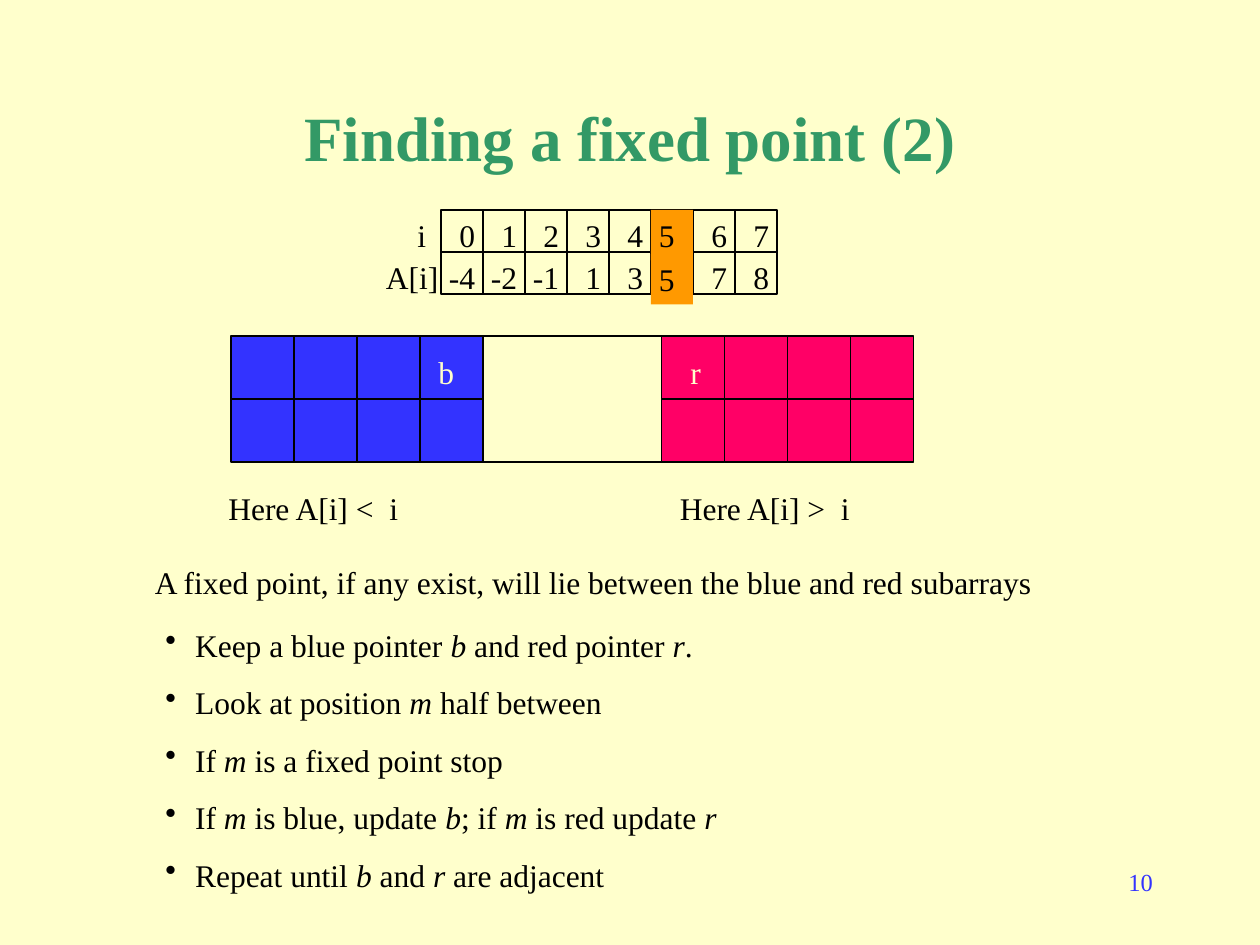
from dataclasses import dataclass

from lxml.etree import SubElement
from pptx import Presentation
from pptx.dml.color import RGBColor
from pptx.enum.shapes import MSO_CONNECTOR, MSO_SHAPE
from pptx.enum.text import MSO_ANCHOR, MSO_AUTO_SIZE, PP_ALIGN
from pptx.oxml.ns import qn
from pptx.util import Pt

FONT = "Times New Roman"
BLACK, CREAM, GREEN = "000000", "FFFFCC", "339966"
BLUE, RED, ORANGE = "3333FF", "FF0066", "FF9900"
LABEL_HEIGHT = 28.8
BULLET_INDENT = 17
BULLET_GAP = 11.25

INDICES = ["0", "1", "2", "3", "4", "5", "6", "7"]
VALUES = ["-4", "-2", "-1", "1", "3", "5", "7", "8"]
FIXED_POINT = 5

# Odd pieces of each step are the italic variable names
STEPS = [
    ["Keep a blue pointer ", "b", " and red pointer ", "r", "."],
    ["Look at position ", "m", " half between"],
    ["If ", "m", " is a fixed point stop"],
    ["If ", "m", " is blue, update ", "b", "; if ", "m", " is red update ", "r"],
    ["Repeat until ", "b", " and ", "r ", "are adjacent"],
]


@dataclass
class Grid:
    left: float
    top: float
    cell: float
    columns: int
    fill: str | None = None


@dataclass
class Label:
    text: str
    left: float
    top: float
    width: float
    height: float = LABEL_HEIGHT
    color: str = BLACK
    size: float = 18
    bold: bool = False
    align: PP_ALIGN = PP_ALIGN.LEFT
    anchor: MSO_ANCHOR = MSO_ANCHOR.TOP
    right_margin: float = 0
    left_margin: float = 4.5
    fill: str | None = None


def color_of(value: str) -> RGBColor:
    return RGBColor.from_string(value)


def paint(shape, fill: str | None, line: str | None) -> None:
    shape.shadow.inherit = False
    if fill:
        shape.fill.solid()
        shape.fill.fore_color.rgb = color_of(fill)
    else:
        shape.fill.background()
    if line:
        shape.line.color.rgb = color_of(line)
        shape.line.width = Pt(0.75)
    else:
        shape.line.fill.background()


def set_frame(frame, **changes) -> None:
    settings = {
        "word_wrap": True,
        "auto_size": MSO_AUTO_SIZE.NONE,
        "vertical_anchor": MSO_ANCHOR.TOP,
        "margin_left": Pt(4.5),
        "margin_right": Pt(4.5),
        "margin_top": Pt(3.6),
        "margin_bottom": Pt(3.6),
    }
    for name, value in {**settings, **changes}.items():
        setattr(frame, name, value)


def add_span(para, text: str, color: str = BLACK, **changes) -> None:
    span = para.add_run()
    span.text = text
    span.font.color.rgb = color_of(color)
    for name, value in {"name": FONT, "size": Pt(18), **changes}.items():
        setattr(span.font, name, value)


def add_label(shapes, label: Label) -> None:
    place = [Pt(v) for v in (label.left, label.top, label.width, label.height)]
    if label.fill:
        box = shapes.add_shape(MSO_SHAPE.RECTANGLE, *place)
        paint(box, label.fill, None)
    else:
        box = shapes.add_textbox(*place)
    set_frame(
        box.text_frame,
        vertical_anchor=label.anchor,
        margin_left=Pt(label.left_margin),
        margin_right=Pt(label.right_margin),
    )
    para = box.text_frame.paragraphs[0]
    para.alignment = label.align
    add_span(para, label.text, label.color, size=Pt(label.size), bold=label.bold)


def add_grid(shapes, grid: Grid) -> None:
    for row in range(2):
        for column in range(grid.columns):
            cell = shapes.add_shape(
                MSO_SHAPE.RECTANGLE,
                Pt(grid.left + column * grid.cell),
                Pt(grid.top + row * grid.cell),
                Pt(grid.cell),
                Pt(grid.cell),
            )
            paint(cell, grid.fill, BLACK)


def add_rule(shapes, left: float, right: float, top: float) -> None:
    rule = shapes.add_connector(
        MSO_CONNECTOR.STRAIGHT, Pt(left), Pt(top), Pt(right), Pt(top)
    )
    rule.line.color.rgb = color_of(BLACK)
    rule.line.width = Pt(0.75)
    SubElement(rule._element.spPr, qn("a:effectLst"))


def add_steps(shapes) -> None:
    box = shapes.add_textbox(Pt(90), Pt(354), Pt(510), Pt(160.5))
    set_frame(box.text_frame)
    for number, pieces in enumerate(STEPS):
        first = number == 0
        para = box.text_frame.paragraphs[0] if first else box.text_frame.add_paragraph()
        properties = para._p.get_or_add_pPr()
        properties.set("marL", str(Pt(BULLET_INDENT)))
        properties.set("indent", str(-Pt(BULLET_INDENT)))
        SubElement(properties, qn("a:buChar")).set("char", "•")
        if not first:
            para.space_before = Pt(BULLET_GAP)
        for position, piece in enumerate(pieces):
            add_span(para, piece, italic=position % 2 == 1)


def add_array(shapes) -> None:
    grid = Grid(252, 120, 24, len(INDICES))
    add_grid(shapes, grid)
    for row, entries in enumerate([INDICES, VALUES]):
        top = grid.top + row * grid.cell
        for column, text in enumerate(entries):
            if column != FIXED_POINT:
                shift = 0 if text.startswith("-") else 6
                left = grid.left + column * grid.cell + shift
                add_label(shapes, Label(text, left, top, 24))
    add_label(shapes, Label("i", 234, 120, 24))
    add_label(shapes, Label("A[i]", 216, 144, 42))
    # Highlighted fixed point
    for text, top in [(INDICES[FIXED_POINT], 120), (VALUES[FIXED_POINT], 145.2)]:
        left = grid.left + FIXED_POINT * grid.cell
        add_label(shapes, Label(text, left, top, grid.cell, fill=ORANGE))


def add_subarrays(shapes) -> None:
    for left, fill in [(132, BLUE), (378, RED)]:
        add_grid(shapes, Grid(left, 192, 36, 4, fill))
    add_rule(shapes, 270, 378, 192)
    add_rule(shapes, 276, 384, 264)
    for label in [
        Label("Here A[i] <  i", 126, 276, 150),
        Label("Here A[i] >  i", 384, 276, 150),
        Label("b", 246, 198, 24, color=CREAM),
        Label("r", 390, 198, 24, color=CREAM),
    ]:
        add_label(shapes, label)


def main() -> None:
    deck = Presentation()
    deck.slide_width, deck.slide_height = Pt(720), Pt(540)
    page = deck.slides.add_slide(deck.slide_layouts[6])
    page.background.fill.solid()
    page.background.fill.fore_color.rgb = color_of(CREAM)

    # Page number and title
    add_label(page.shapes, Label(
        "10", 516, 492, 150, 36, BLUE, 14, align=PP_ALIGN.RIGHT, right_margin=7.2))
    add_label(page.shapes, Label(
        "Finding a fixed point (2)", 54, 48, 612, 60, GREEN, 36, True,
        PP_ALIGN.CENTER, MSO_ANCHOR.MIDDLE, right_margin=4.5))

    # Example array, then the explanation and the two subarrays
    add_array(page.shapes.add_group_shape().shapes)
    add_label(page.shapes, Label(
        "A fixed point, if any exist, will lie between the blue and red subarrays",
        84, 318, 534))
    add_steps(page.shapes)
    add_subarrays(page.shapes.add_group_shape().shapes)

    deck.save("out.pptx")


if __name__ == "__main__":
    main()
